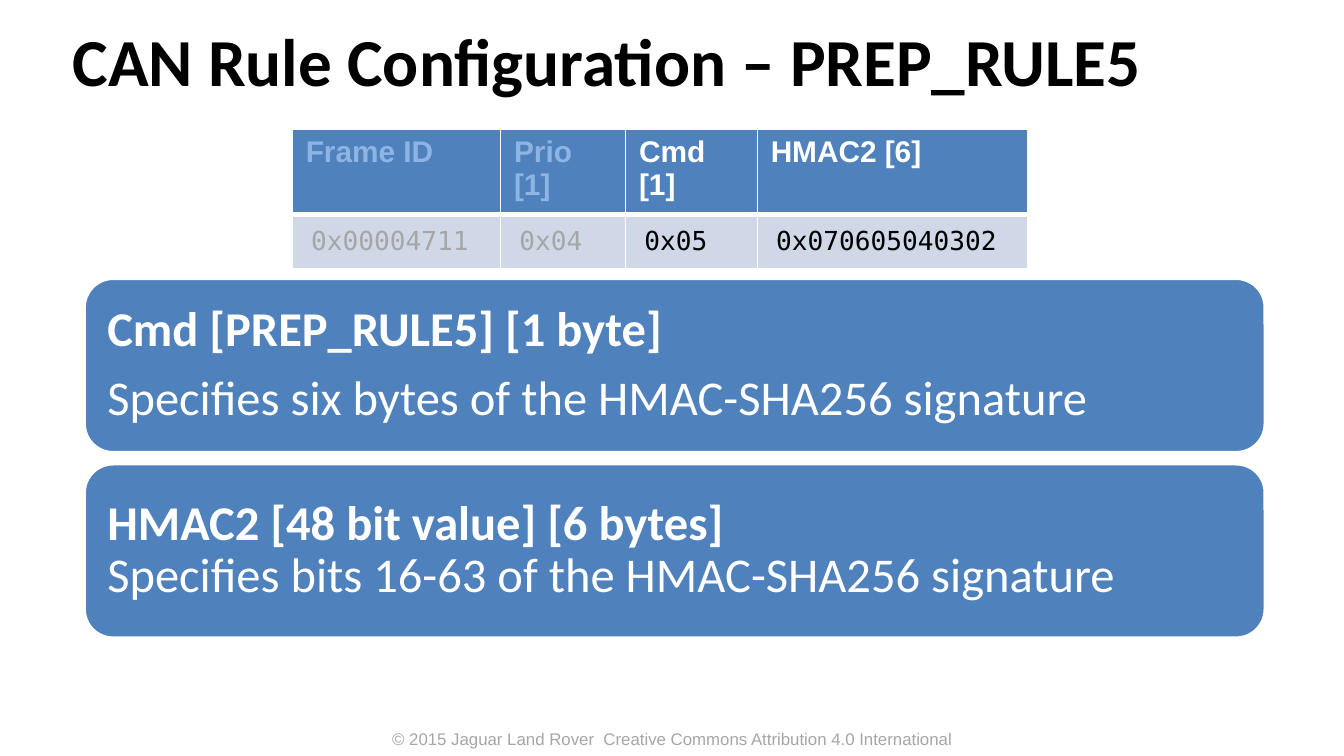
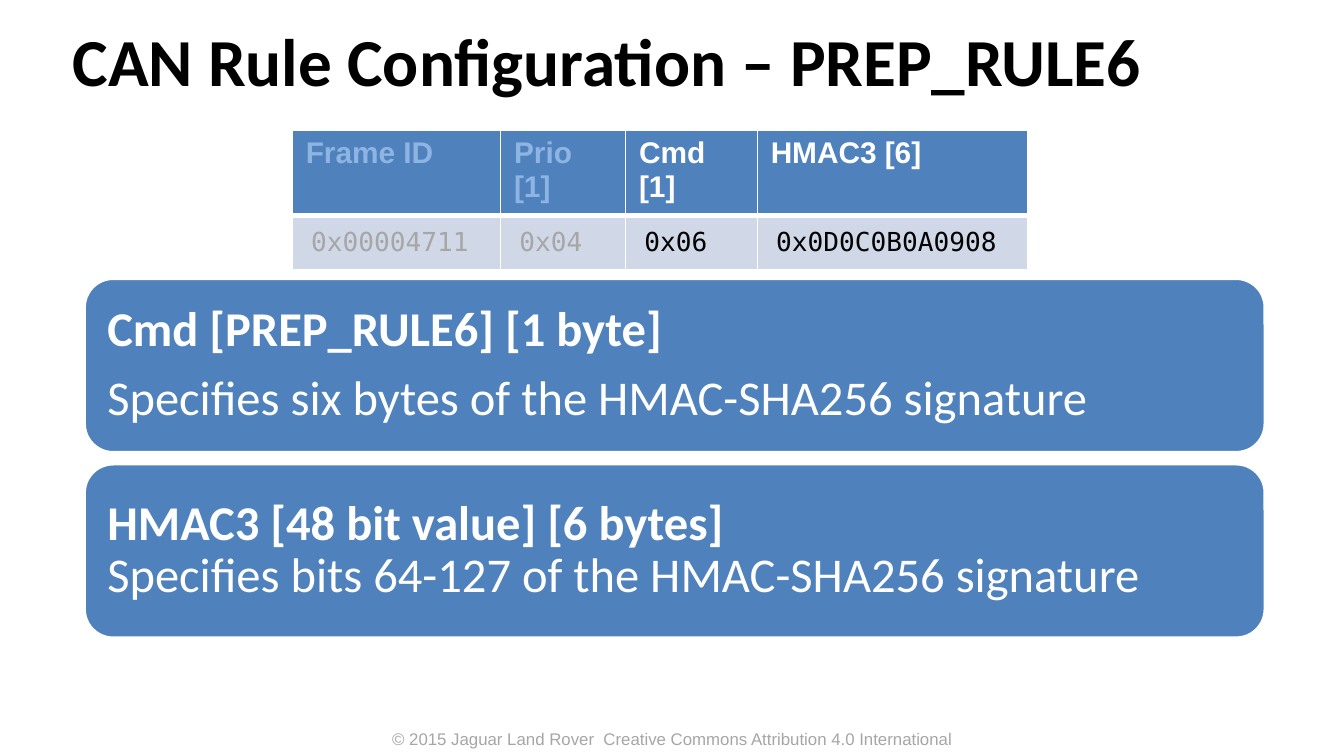
from dataclasses import dataclass

from lxml.etree import SubElement
from pptx import Presentation
from pptx.dml.color import RGBColor
from pptx.enum.shapes import MSO_SHAPE
from pptx.enum.text import MSO_ANCHOR, MSO_AUTO_SIZE, PP_ALIGN
from pptx.oxml.ns import qn
from pptx.util import Inches, Pt

WIDTH = Inches(10)
HEIGHT = WIDTH * 9 // 16
COLS, ROWS = 100, 56.25

WHITE, BLACK, GREY = "FFFFFF", "000000", "A6A6A6"
BLUE, PALE, SKY = "4F81BD", "D0D8E8", "8EB4E3"
BODY, SANS, MONO = "Calibri", "Arial", "DejaVu Sans Mono"

FOOTER = "© 2015 Jaguar Land Rover  Creative Commons Attribution 4.0 International"
SPANS = (15.5, 9.3, 9.8, 20.1)
MUTED = 2  # leading table columns shown dimmed
PANEL, STEP = 13, 13.8


@dataclass
class Rule:
    num: int
    field: str
    value: str
    bits: str
    top: float  # grid row of the table


@dataclass
class Band:
    """Look of one table row."""
    font: str
    size: int
    bold: bool
    fill: str
    ink: str
    dim: str
    edges: tuple  # left, right, top, bottom, in points
    pad: tuple  # side, top and bottom, in columns and rows
    anchor: MSO_ANCHOR


HEAD = Band(SANS, 16, True, BLUE, WHITE, SKY, (1, 1, 1, 3), (1, 0.5), MSO_ANCHOR.TOP)
DATA = Band(MONO, 14, False, PALE, BLACK, GREY, (1, 1, 1, 1), (1.4, 0.6), MSO_ANCHOR.MIDDLE)

RULES = (
    Rule(5, "HMAC2", "0x070605040302", "16-63", 9.6),
    Rule(6, "HMAC3", "0x0D0C0B0A0908", "64-127", 9.7),
)


def col(count: float) -> int:
    return round(WIDTH * count / COLS)


def row(count: float) -> int:
    return round(HEIGHT * count / ROWS)


def area(left: float, top: float, wide: float, high: float) -> tuple:
    return col(left), row(top), col(wide), row(high)


def tint(color, code: str) -> None:
    color.rgb = RGBColor.from_string(code)


def style(font, name: str, size: float, code: str, bold: bool = False) -> None:
    font.name, font.size, font.bold = name, Pt(size), bold
    tint(font.color, code)


def inset(box, side: float, edge: float) -> None:
    box.margin_left = box.margin_right = col(side)
    box.margin_top = box.margin_bottom = row(edge)


def title(slide, text: str) -> None:
    frame = slide.shapes.add_textbox(*area(5.4, 0.8, 87.4, 7.9)).text_frame
    frame.word_wrap = True
    frame.vertical_anchor = MSO_ANCHOR.MIDDLE
    inset(frame, 0, 0)
    frame.text = text
    line = frame.paragraphs[0]
    line.line_spacing = 0.95
    style(line.runs[0].font, BODY, 36, BLACK, True)


def footer(slide) -> None:
    frame = slide.shapes.add_textbox(*area(25, 53.7, 50, 2.5)).text_frame
    frame.word_wrap = True
    frame.auto_size = MSO_AUTO_SIZE.SHAPE_TO_FIT_TEXT
    frame.text = FOOTER
    line = frame.paragraphs[0]
    line.alignment = PP_ALIGN.CENTER
    style(line.runs[0].font, SANS, 9, GREY)


def panel(slide, index: int, text: str) -> None:
    """Draw a rounded panel whose first run is its bold heading."""
    place = area(6.25, 20.7 + index * STEP, 87.9, PANEL)
    shape = slide.shapes.add_shape(MSO_SHAPE.ROUNDED_RECTANGLE, *place)
    shape.shadow.inherit = False
    shape.fill.solid()
    tint(shape.fill.fore_color, BLUE)
    tint(shape.line.color, WHITE)
    shape.line.width = Pt(2)
    frame = shape.text_frame
    frame.word_wrap = True
    frame.vertical_anchor = MSO_ANCHOR.MIDDLE
    inset(frame, 1.1, 1.1)
    frame.text = text
    for line in frame.paragraphs:
        line.alignment = PP_ALIGN.LEFT
        line.line_spacing = 0.9
        line.space_after = Pt(9.1)
    runs = [run for line in frame.paragraphs for run in line.runs]
    for pos, run in enumerate(runs):
        style(run.font, BODY, 26, WHITE, pos == 0)


def border(cell, edges: tuple) -> None:
    props = cell._tc.get_or_add_tcPr()
    for side, width in zip("LRTB", edges):
        line = SubElement(props, qn(f"a:ln{side}"), w=str(Pt(width)))
        fill = SubElement(line, qn("a:solidFill"))
        SubElement(fill, qn("a:srgbClr"), val=WHITE)


def grid(slide, top: float, lines: tuple) -> None:
    place = area(21.75, top, sum(SPANS), 8.1)
    table = slide.shapes.add_table(len(lines), len(SPANS), *place).table
    table.horz_banding = False
    for track, span in zip(table.columns, SPANS):
        track.width = col(span)
    for track, band, texts in zip(table.rows, (HEAD, DATA), lines):
        for pos, (cell, text) in enumerate(zip(track.cells, texts)):
            border(cell, band.edges)
            cell.fill.solid()
            tint(cell.fill.fore_color, band.fill)
            inset(cell, *band.pad)
            cell.vertical_anchor = band.anchor
            cell.text = text
            ink = band.dim if pos < MUTED else band.ink
            font = cell.text_frame.paragraphs[0].runs[0].font
            style(font, band.font, band.size, ink, band.bold)


def build(deck, rule: Rule) -> None:
    slide = deck.slides.add_slide(deck.slide_layouts[6])
    name = f"PREP_RULE{rule.num}"
    footer(slide)
    title(slide, f"CAN Rule Configuration – {name}")
    panels = (
        f"Cmd [{name}] [1 byte]\nSpecifies six bytes of the HMAC-SHA256 signature",
        f"{rule.field} [48 bit value] [6 bytes]\v"
        f"Specifies bits {rule.bits} of the HMAC-SHA256 signature",
    )
    for index, text in enumerate(panels):
        panel(slide, index, text)
    grid(slide, rule.top, (
        ("Frame ID", "Prio [1]", "Cmd [1]", f"{rule.field} [6]"),
        ("0x00004711", "0x04", f"0x{rule.num:02}", rule.value),
    ))


def main() -> None:
    deck = Presentation()
    deck.slide_width, deck.slide_height = WIDTH, HEIGHT
    for rule in RULES:
        build(deck, rule)
    deck.save("out.pptx")


if __name__ == "__main__":
    main()
